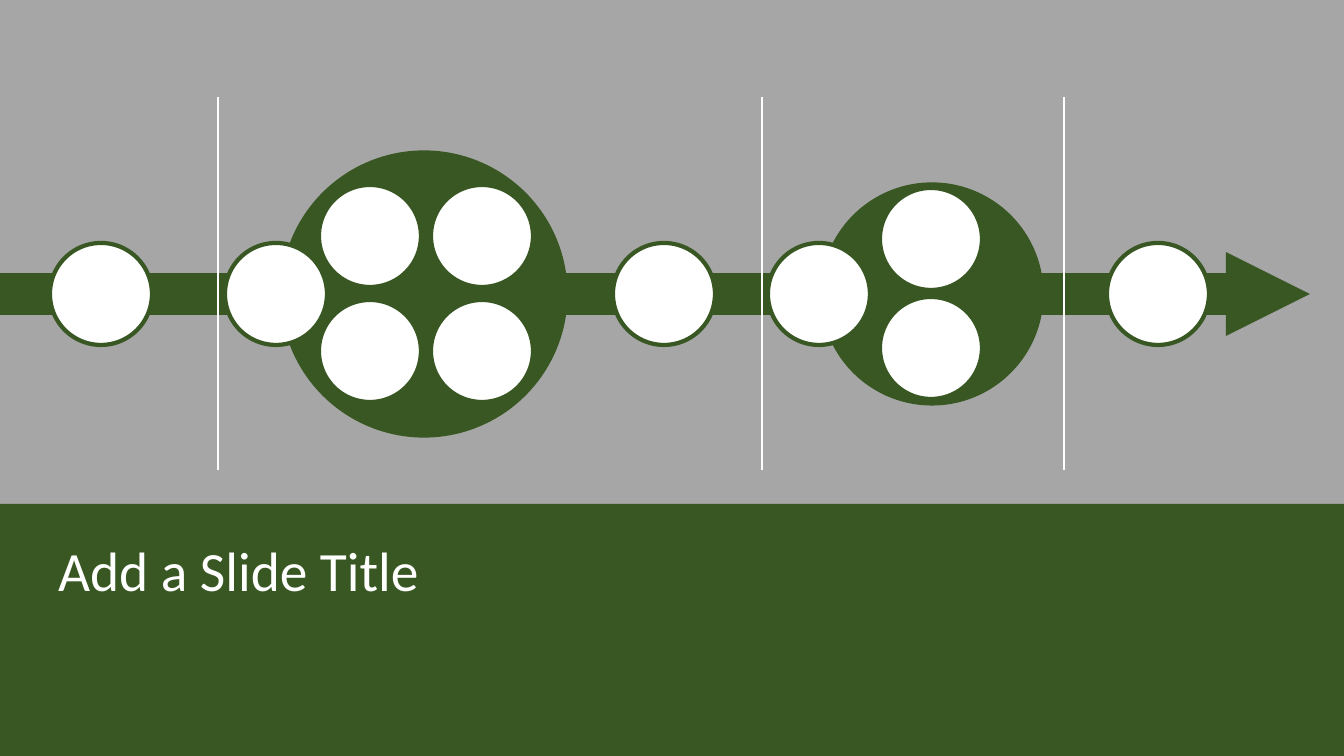
from lxml import etree
from pptx import Presentation
from pptx import util as u
from pptx.dml.color import RGBColor
from pptx.enum import shapes, text
from pptx.oxml.ns import qn

# Content, lengths in pixels
W, H = 1344, 756
PX = 12192000 / W
COLORS = {"gray": "A6A6A6", "green": "385723", "white": "FFFFFF"}
TITLE = "Add a Slide Title"
BAND_TOP = 504
AXIS_Y, AXIS_END = 294, 1310
STOP_D = 102
HUBS = [(424, 283), (932, 219)]  # centre x, diameter
DIVIDERS = [218, 762, 1064]
DIVIDER_TOP, DIVIDER_BOTTOM = 97, 470
STOPS = [(x, AXIS_Y) for x in (101, 276, 664, 819, 1158)]
STOPS += [(x, y) for y in (236, 351) for x in (370, 482)]
STOPS += [(931, y) for y in (239, 348)]


def emu(*lengths):
    return [round(n * PX) for n in lengths]


def rgb(name):
    return RGBColor.from_string(COLORS[name])


prs = Presentation()
prs.slide_width, prs.slide_height = emu(W, H)
slide = prs.slides.add_slide(prs.slide_layouts[5])


def add_shape(kind, box, fill, outline=None):
    sp = slide.shapes.add_shape(kind, *emu(*box))
    sp.shadow.inherit = False
    sp.fill.solid()
    sp.fill.fore_color.rgb = rgb(fill)
    if outline:
        sp.line.color.rgb = rgb(outline)
        sp.line.width = u.Pt(3)
    else:
        sp.line.fill.background()


def add_circle(x, y, d, fill):
    add_shape(shapes.MSO_SHAPE.OVAL, (x - d / 2, y - d / 2, d, d), fill, "green")


def add_line(ends, color, width):
    line = slide.shapes.add_connector(shapes.MSO_CONNECTOR.STRAIGHT, *emu(*ends))
    line.line.color.rgb = rgb(color)
    line.line.width = u.Pt(width)
    etree.SubElement(line._element.spPr, qn("a:effectLst"))
    return line


# Background and title band
slide.background.fill.solid()
slide.background.fill.fore_color.rgb = rgb("gray")
add_shape(shapes.MSO_SHAPE.RECTANGLE, (0, BAND_TOP, W, H - BAND_TOP), "green")

# Timeline arrow
axis = add_line((0, AXIS_Y, AXIS_END, AXIS_Y), "green", 30)
etree.SubElement(axis.line._get_or_add_ln(), qn("a:tailEnd"), type="triangle",
                 w="sm", len="sm")

# Hubs, dividers and stops
for x, d in HUBS:
    add_circle(x, AXIS_Y, d, "green")
for x in DIVIDERS:
    add_line((x, DIVIDER_TOP, x, DIVIDER_BOTTOM), "white", 1)
for x, y in STOPS:
    add_circle(x, y, STOP_D, "white")

# Title, brought in front of the band
title = slide.shapes.title
title.left, title.top, title.width, title.height = emu(48, 539, 1244, 70)
slide.shapes._spTree.append(title._element)
tf = title.text_frame
tf.word_wrap = True
tf.auto_size = text.MSO_AUTO_SIZE.NONE
tf.vertical_anchor = text.MSO_ANCHOR.MIDDLE
p = tf.paragraphs[0]
p.alignment = text.PP_ALIGN.LEFT
p.line_spacing = 0.9
r = p.add_run()
r.text = TITLE
r.font.name = "Calibri"
r.font.size = u.Pt(39.6)
r.font.color.rgb = rgb("white")

prs.save("out.pptx")
